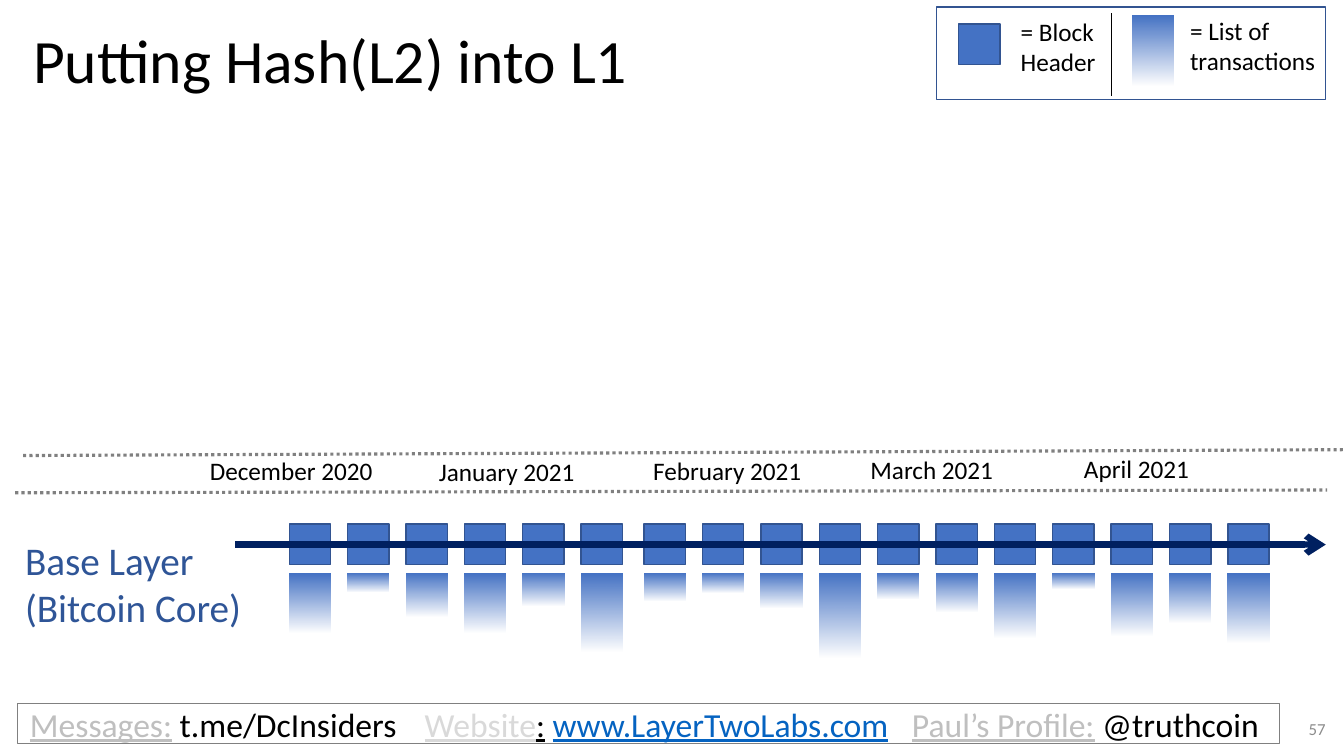
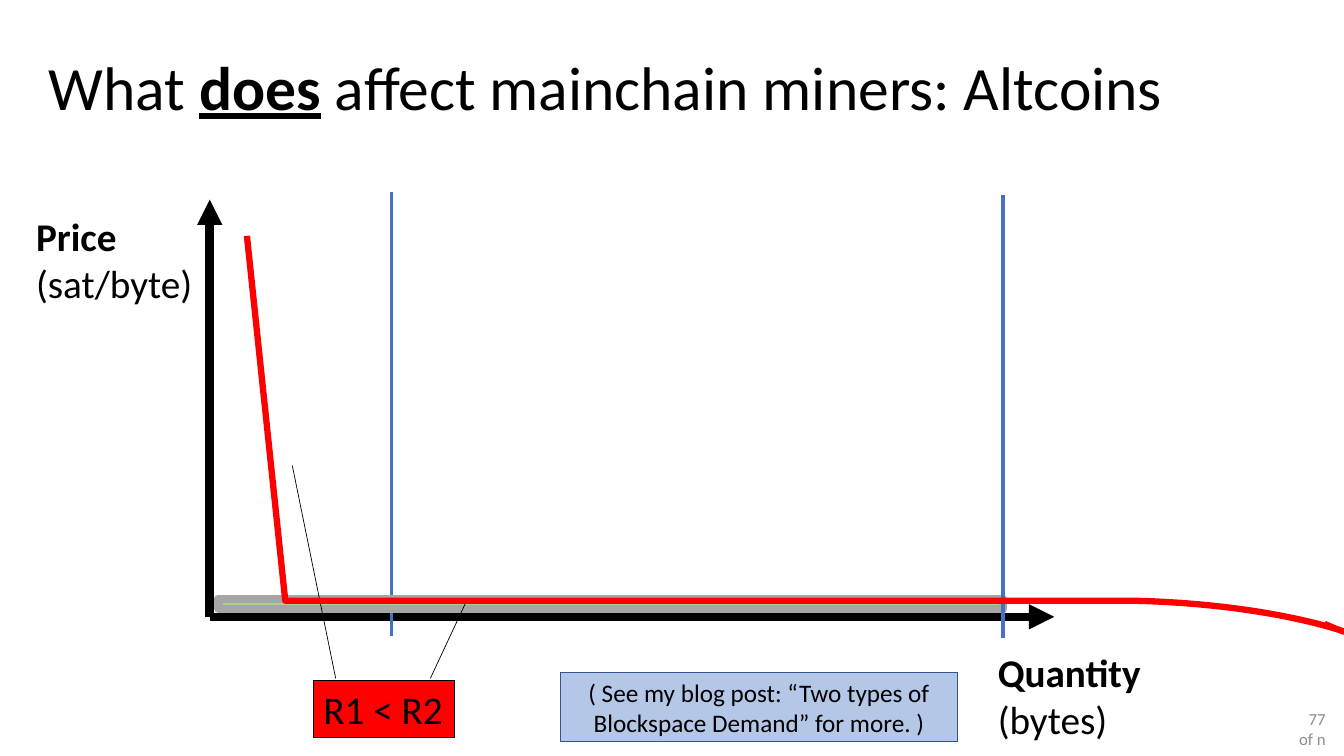
from pptx import Presentation
from pptx.dml.color import RGBColor
from pptx.enum.dml import MSO_LINE
from pptx.enum.shapes import MSO_CONNECTOR, MSO_SHAPE
from pptx.enum.text import MSO_ANCHOR, PP_ALIGN
from pptx.oxml.ns import qn
from pptx.util import Pt
from lxml.etree import SubElement

FONT = "Calibri"
BLACK = RGBColor(0x00, 0x00, 0x00)
WHITE = RGBColor(0xFF, 0xFF, 0xFF)
BLUE = RGBColor(0x44, 0x72, 0xC4)
EDGE = RGBColor(0x32, 0x54, 0x91)
DEEP_BLUE = RGBColor(0x2F, 0x55, 0x97)
NAVY = RGBColor(0x00, 0x20, 0x60)
PALE_BLUE = RGBColor(0xB4, 0xC7, 0xE7)
LINK = RGBColor(0x05, 0x63, 0xC1)
RED = RGBColor(0xFF, 0x00, 0x00)
GREEN = RGBColor(0xA9, 0xD1, 0x8E)
GRAY = RGBColor(0x80, 0x80, 0x80)
NUMBER_GRAY = RGBColor(0x8C, 0x8C, 0x8C)
BAND_GRAY = RGBColor(0xA6, 0xA6, 0xA6)
LABEL_GRAY = RGBColor(0xBF, 0xBF, 0xBF)
FAINT_GRAY = RGBColor(0xD9, 0xD9, 0xD9)

BLOCK_W, BLOCK_H, BLOCK_STEP = 29.5, 28.8, 41.7


class Deck:
    """Shared style plus the slide being drawn."""

    def __init__(self):
        self.prs = Presentation()
        self.prs.slide_width, self.prs.slide_height = Pt(960), Pt(540)
        self.s = None

    def slide(self, number, title, x, y, w, h):
        self.s = self.prs.slides.add_slide(self.prs.slide_layouts[6])
        self.text(x, y, w, h, [title], 44, anchor=MSO_ANCHOR.MIDDLE, spacing=0.9)
        self.text(919.5, 506, 34.5, 28.8, [number], 12, NUMBER_GRAY,
                  PP_ALIGN.RIGHT, MSO_ANCHOR.MIDDLE)

    def fill_text(self, sp, paragraphs, size, color=BLACK, align=PP_ALIGN.LEFT,
                  anchor=MSO_ANCHOR.TOP, wrap=True, spacing=None, tabs=()):
        """Each paragraph is a string or a list of (text, style) runs."""
        tf = sp.text_frame
        tf.word_wrap, tf.vertical_anchor = wrap, anchor
        for i, runs in enumerate(paragraphs):
            p = tf.add_paragraph() if i else tf.paragraphs[0]
            p.alignment = align
            if spacing:
                p.line_spacing = spacing
            if tabs:
                tab_list = SubElement(p._p.get_or_add_pPr(), qn("a:tabLst"))
                for pos in tabs:
                    SubElement(tab_list, qn("a:tab"), pos=str(Pt(pos)), algn="l")
            for text, style in [(runs, {})] if isinstance(runs, str) else runs:
                r = p.add_run()
                r.text = text
                r.font.name, r.font.size = FONT, Pt(size)
                r.font.bold = style.get("bold", False)
                r.font.underline = style.get("underline", False)
                r.font.color.rgb = style.get("color", color)

    def text(self, x, y, w, h, paragraphs, size, *args, **kwargs):
        sp = self.s.shapes.add_textbox(Pt(x), Pt(y), Pt(w), Pt(h))
        self.fill_text(sp, paragraphs, size, *args, **kwargs)

    def rect(self, x, y, w, h, fill=None, line=None, weight=1):
        sp = self.s.shapes.add_shape(MSO_SHAPE.RECTANGLE, Pt(x), Pt(y), Pt(w), Pt(h))
        sp.shadow.inherit = False
        if fill is None:
            sp.fill.background()
        else:
            sp.fill.solid()
            sp.fill.fore_color.rgb = fill
        if line is None:
            sp.line.fill.background()
        else:
            sp.line.color.rgb, sp.line.width = line, Pt(weight)
        return sp

    def header(self, x, y):
        self.rect(x, y, BLOCK_W, BLOCK_H, BLUE, EDGE)

    def transactions(self, x, y, h):
        """Bar that fades out towards its foot."""
        sp = self.rect(x, y, BLOCK_W, h)
        sp.fill.gradient()
        sp.fill.gradient_angle = 90
        for stop, position in zip(sp.fill.gradient_stops, (0, 1)):
            stop.color.rgb, stop.position = BLUE, position
        clear = sp._element.spPr.find(".//" + qn("a:srgbClr"))
        SubElement(clear, qn("a:alpha"), val="0")

    def line(self, x1, y1, x2, y2, color, weight, dash=None, arrow=None):
        c = self.s.shapes.add_connector(MSO_CONNECTOR.STRAIGHT,
                                        Pt(x1), Pt(y1), Pt(x2), Pt(y2))
        c.line.color.rgb, c.line.width = color, Pt(weight)
        if dash:
            c.line.dash_style = dash
        spPr = c._element.spPr
        if arrow:
            SubElement(spPr.find(qn("a:ln")), qn("a:tailEnd"), type=arrow)
        SubElement(spPr, qn("a:effectLst"))

    def curve(self, points, color, weight):
        points = [(Pt(x), Pt(y)) for x, y in points]
        builder = self.s.shapes.build_freeform(*points[0])
        builder.add_line_segments(points[1:], close=False)
        sp = builder.convert_to_shape()
        sp.shadow.inherit = False
        sp.fill.background()
        sp.line.color.rgb, sp.line.width = color, Pt(weight)


def bezier(a, b, c, d, steps=30):
    """Points along a cubic curve, start and end included."""
    for t in (i / steps for i in range(steps + 1)):
        u = 1 - t
        yield tuple(u**3 * p + 3 * u * u * t * q + 3 * u * t * t * r + t**3 * v
                    for p, q, r, v in zip(a, b, c, d))


def timeline_slide(deck):
    deck.slide("57", "Putting Hash(L2) into L1", 16.5, 15, 597, 60.5)

    # Chain of blocks, with a wider gap after the sixth
    heights = [42, 13, 31, 42, 23, 55.5, 19.5, 13.7, 24, 60,
               18, 27.5, 45.5, 11, 44.6, 35.3, 49]
    for i, h in enumerate(heights):
        x = 206.6 + i * BLOCK_STEP + (3.3 if i >= 6 else 0)
        deck.header(x, 374.4)
        deck.transactions(x, 409.7, h)
    deck.line(168, 389, 947, 389, NAVY, 4.5, arrow="arrow")
    deck.text(10.8, 379.5, 189.4, 75, ["Base Layer", "(Bitcoin Core)"], 28, DEEP_BLUE)

    # Legend
    deck.rect(669, 5, 278, 66.2, line=EDGE)
    deck.header(684.7, 17.3)
    deck.transactions(808.6, 10.8, 50.4)
    deck.line(794, 9.4, 794, 68.4, BLACK, 0.5)
    deck.text(722, 7.9, 95.8, 51, ["= Block Header"], 18)
    deck.text(843, 7.2, 111, 51, ["= List of transactions"], 18)

    # Month band
    months = [("December 2020", 208, 321.8), ("January 2021", 362, 322.6),
              ("February 2021", 519.5, 321.8), ("March 2021", 665.6, 321.1),
              ("April 2021", 811.8, 320.4)]
    for month, center, top in months:
        deck.text(center - 80, top, 160, 28.8, [month], 18, align=PP_ALIGN.CENTER)
    deck.line(10.8, 352, 948, 350, GRAY, 2.25, MSO_LINE.ROUND_DOT)
    deck.line(16.5, 325.4, 960, 321.2, GRAY, 2.25, MSO_LINE.ROUND_DOT)

    # Contact bar
    bar = deck.rect(12.2, 502.5, 901.5, 28.8, WHITE, GRAY, 0.75)
    bar.text_frame.margin_left = Pt(9.2)
    label = {"color": LABEL_GRAY, "underline": True}
    deck.fill_text(bar, [[
        ("Messages:", label), (" t.me/DcInsiders\t", {}),
        ("Website", {"color": FAINT_GRAY, "underline": True}),
        (":", {"underline": True}), (" ", {}),
        ("www.LayerTwoLabs.com", {"color": LINK, "underline": True}), ("\t", {}),
        ("Paul’s Profile:", label), (" @truthcoin", {}),
    ]], 24, anchor=MSO_ANCHOR.MIDDLE, tabs=(282, 630))


def demand_slide(deck):
    deck.slide("77 of n", [("What ", {}), ("does", {"bold": True, "underline": True}),
                           (" affect mainchain miners: Altcoins", {})],
               27.4, 12.2, 828, 104.4)

    # Axes and their names
    deck.line(149.8, 440.6, 149.8, 142.6, BLACK, 6, arrow="triangle")
    deck.line(149.8, 440.6, 753, 440.6, BLACK, 6, arrow="triangle")
    for x, y, w, name, unit in [(18.7, 148.3, 131.8, "Price", "(sat/byte)"),
                                (705.6, 459.4, 118, "Quantity", "(bytes)")]:
        deck.text(x, y, w, 75, [[(name, {"bold": True})], unit], 28, wrap=False)

    # Revenue bands and the limits
    deck.line(279.4, 137.5, 279.4, 454.3, BLUE, 2.25)
    for w, h in [(118.8, 5.8), (560.2, 7.2)]:
        deck.rect(156.2, 427.7, w, h, GREEN, BAND_GRAY, 6)

    # Comparison callout
    deck.line(208.8, 332.6, 239.8, 484.6, BLACK, 0.5)
    deck.line(334, 427.7, 307.4, 484.6, BLACK, 0.5)
    callout = deck.rect(223.9, 486, 100.8, 41, RED, BLACK, 0.75)
    deck.fill_text(callout, ["R1 < R2"], 28, wrap=False)
    deck.line(716.4, 139, 716.4, 455.8, BLUE, 2.25)

    # Demand curve
    tail = bezier((809.3, 429.1), (933.1, 432), (987.8, 463.7), (946.1, 445.7))
    deck.curve([(176.4, 168.5), (203.8, 429.1), *tail], RED, 4.5)

    # Further reading
    note = deck.rect(400.3, 480.2, 283.7, 49.7, PALE_BLUE, EDGE)
    deck.fill_text(note, ["( See my blog post: “Two types of Blockspace Demand” for more. )"],
                   18, align=PP_ALIGN.CENTER, anchor=MSO_ANCHOR.MIDDLE)


def main():
    deck = Deck()
    timeline_slide(deck)
    demand_slide(deck)
    deck.prs.save("out.pptx")


if __name__ == "__main__":
    main()
